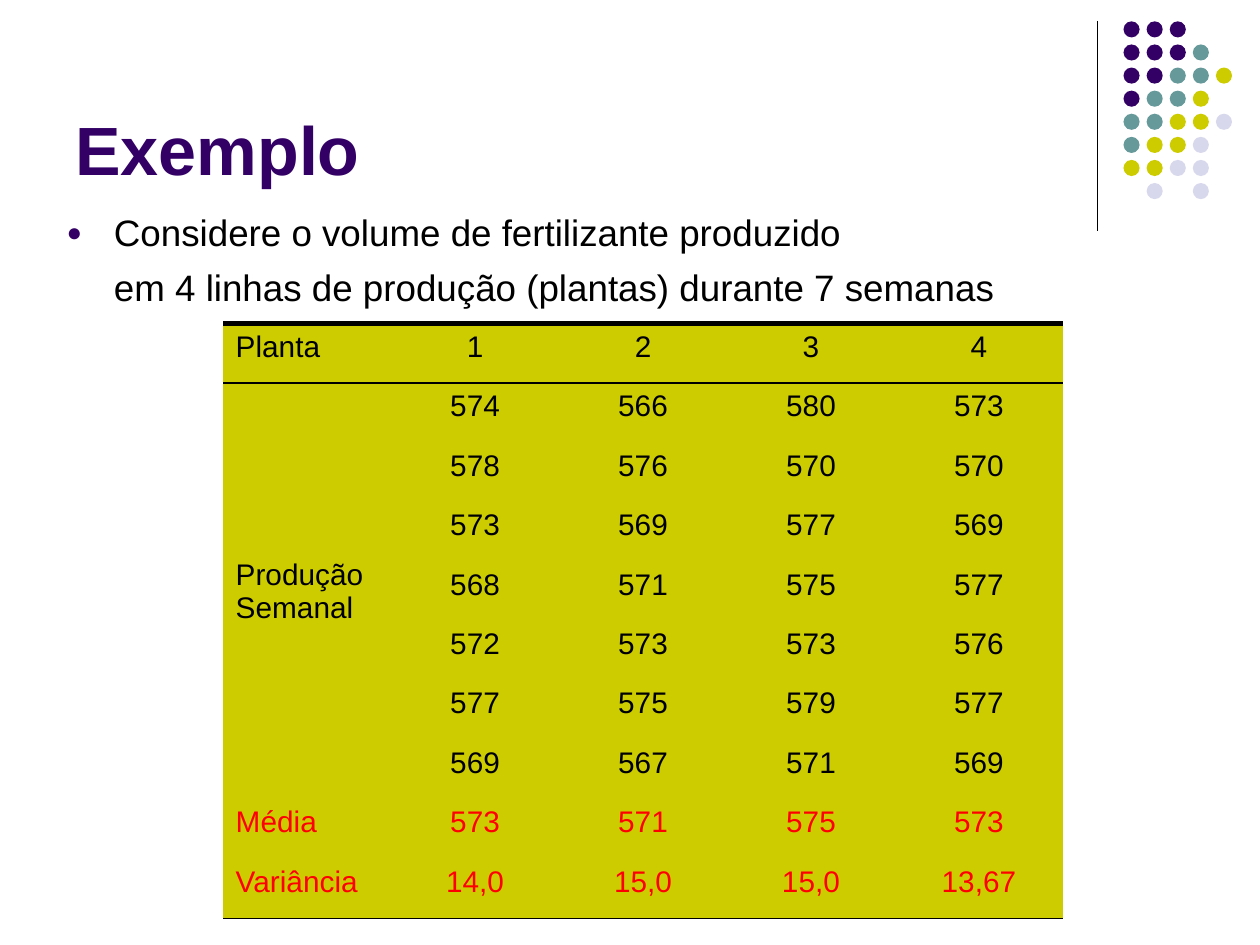
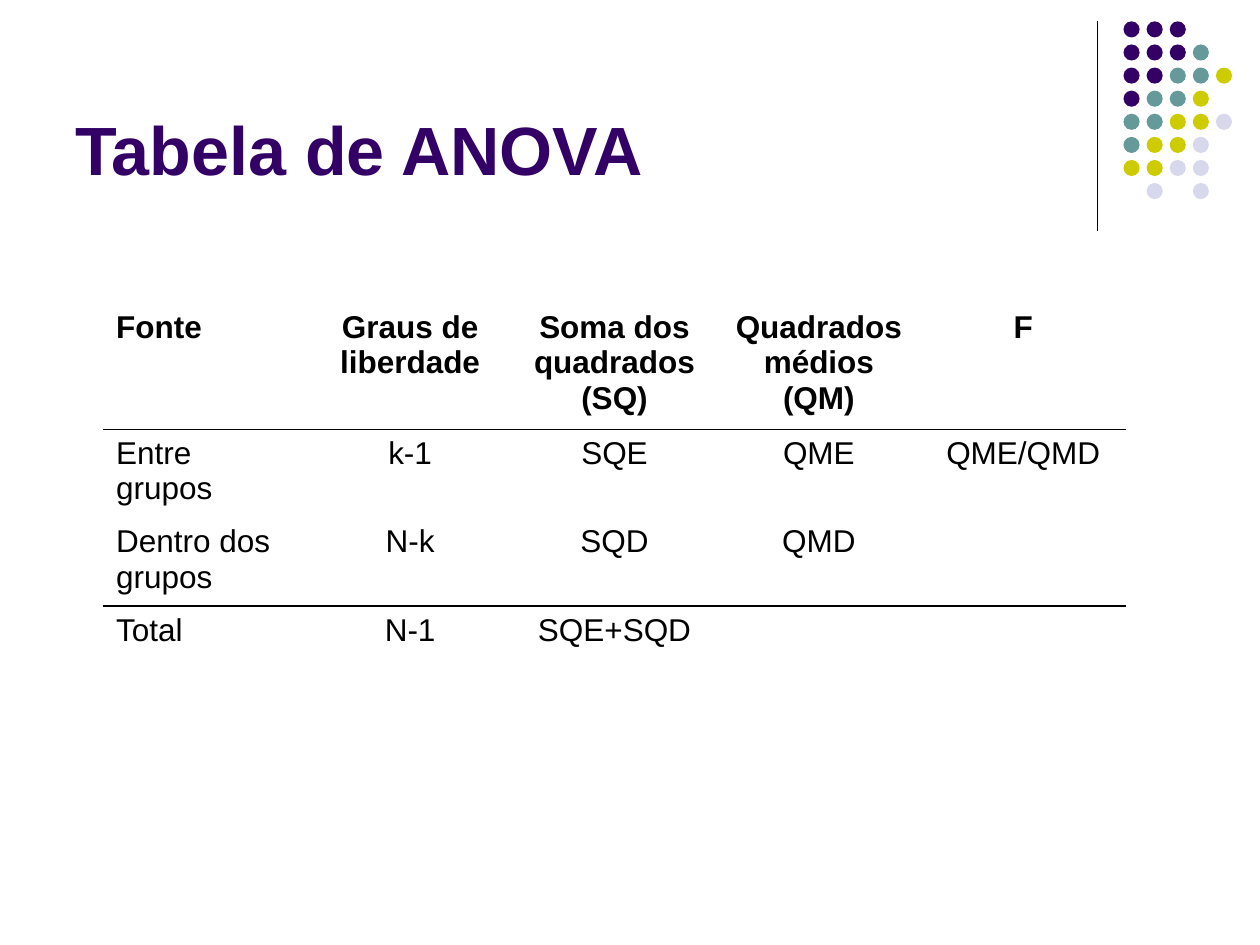
from dataclasses import dataclass

from lxml.etree import SubElement
from pptx import Presentation
from pptx.dml.color import RGBColor
from pptx.enum.shapes import MSO_CONNECTOR as Connector, MSO_SHAPE as Preset
from pptx.enum.text import MSO_ANCHOR as Anchor, PP_ALIGN as Align
from pptx.oxml.ns import qn
from pptx.slide import Slide
from pptx.table import Table, _Cell as Cell
from pptx.text.text import TextFrame
from pptx.util import Pt

PURPLE = RGBColor(0x33, 0x00, 0x66)
TEAL = RGBColor(0x66, 0x99, 0x99)
OLIVE = RGBColor(0xCC, 0xCC, 0x00)
LILAC = RGBColor(0xD8, 0xD8, 0xEC)
BLACK = RGBColor(0, 0, 0)
WHITE = RGBColor(255, 255, 255)
RED = RGBColor(255, 0, 0)
FONT = "Arial"

DOT_COLORS = {"P": PURPLE, "T": TEAL, "O": OLIVE, "L": LILAC}
DOT_ROWS = ["PPP", "PPPT", "PPTTO", "PTTO", "TTOOL", "TOOL", "OOLL", " L L"]
DOT_LEFT, DOT_TOP, DOT_PITCH, DOT_SIZE = 642, 12.2, 13.2, 9.2

PLANT_ROWS = [
    ["Planta", "1", "2", "3", "4"],
    ["Produção Semanal", "574", "566", "580", "573"],
    ["", "578", "576", "570", "570"],
    ["", "573", "569", "577", "569"],
    ["", "568", "571", "575", "577"],
    ["", "572", "573", "573", "576"],
    ["", "577", "575", "579", "577"],
    ["", "569", "567", "571", "569"],
    ["Média", "573", "571", "575", "573"],
    ["Variância", "14,0", "15,0", "15,0", "13,67"],
]
ANOVA_ROWS = [
    ["Fonte", "Graus de liberdade", "Soma dos quadrados\n(SQ)", "Quadrados médios\n(QM)", "F"],
    ["Entre grupos", "k-1", "SQE", "QME", "QME/QMD"],
    ["Dentro dos grupos", "N-k", "SQD", "QMD", ""],
    ["Total", "N-1", "SQE+SQD", "", ""],
]


@dataclass(frozen=True)
class Border:
    """One cell edge; a width of zero leaves it undrawn."""
    width: float = 0
    color: RGBColor = BLACK


@dataclass(frozen=True)
class RowStyle:
    """Look shared by the cells of one table row."""
    height: float
    top: Border = Border()
    bottom: Border = Border()
    side: Border = Border()
    color: RGBColor = BLACK
    bold: bool = False


@dataclass(frozen=True)
class Grid:
    """Placement and contents of a table with equal columns."""
    left: float
    top: float
    column_width: float
    size: float
    rows: list[list[str]]
    styles: list[RowStyle]
    fill: RGBColor | None = None


def style_text(frame: TextFrame, size: float, color: RGBColor, bold: bool = False) -> None:
    """Give every run the same font."""
    for para in frame.paragraphs:
        for span in para.runs:
            span.font.name = FONT
            span.font.size = Pt(size)
            span.font.bold = bold
            span.font.color.rgb = color


def add_text(page: Slide, left: float, top: float, width: float, height: float, text: str) -> TextFrame:
    """Add a wrapping text box."""
    box = page.shapes.add_textbox(Pt(left), Pt(top), Pt(width), Pt(height))
    box.text_frame.word_wrap = True
    box.text_frame.text = text
    return box.text_frame


def add_ornament(page: Slide) -> None:
    """Draw the corner rule and the grouped dots."""
    rule = page.shapes.add_connector(Connector.STRAIGHT, Pt(627), Pt(12), Pt(627), Pt(132))
    rule.line.color.rgb = BLACK
    rule.line.width = Pt(0.75)
    SubElement(rule._element.spPr, qn("a:effectLst"))
    dots = page.shapes.add_group_shape()
    for row, letters in enumerate(DOT_ROWS):
        for column, letter in enumerate(letters):
            if letter == " ":
                continue
            dot = dots.shapes.add_shape(
                Preset.OVAL, Pt(DOT_LEFT + column * DOT_PITCH), Pt(DOT_TOP + row * DOT_PITCH),
                Pt(DOT_SIZE), Pt(DOT_SIZE))
            dot.shadow.inherit = False
            dot.fill.solid()
            dot.fill.fore_color.rgb = DOT_COLORS[letter]
            dot.line.fill.background()


def add_page(deck: Presentation, title: str) -> Slide:
    """Add a blank page with the ornament and a title."""
    page = deck.slides.add_slide(deck.slide_layouts[6])
    add_ornament(page)
    frame = add_text(page, 36, 9.4, 594, 102.2, title)
    frame.vertical_anchor = Anchor.BOTTOM
    style_text(frame, 39, PURPLE, True)
    return page


def add_statement(page: Slide) -> None:
    """Add the two body lines, the first one bulleted."""
    frame = add_text(page, 31, 116.6, 648, 70,
                     "Considere o volume de fertilizante produzido\n"
                     "em 4 linhas de produção (plantas) durante 7 semanas")
    style_text(frame, 21, BLACK)
    for para in frame.paragraphs:
        para.space_before = Pt(6)
        para._p.get_or_add_pPr().set("marL", str(Pt(27)))
    properties = frame.paragraphs[0]._p.get_or_add_pPr()
    properties.set("indent", str(Pt(-27)))
    color = SubElement(properties, qn("a:buClr"))
    SubElement(color, qn("a:srgbClr"), val=str(PURPLE))
    SubElement(properties, qn("a:buSzPct"), val="70000")
    SubElement(properties, qn("a:buFont"), typeface=FONT)
    SubElement(properties, qn("a:buChar"), char="●")


def set_borders(cell: Cell, style: RowStyle) -> None:
    """Write the four edges of a cell ahead of its fill."""
    properties = cell._tc.get_or_add_tcPr()
    edges = {"a:lnL": style.side, "a:lnR": style.side, "a:lnT": style.top, "a:lnB": style.bottom}
    for position, (tag, border) in enumerate(edges.items()):
        line = SubElement(properties, qn(tag), w=str(Pt(border.width)))
        if border.width:
            paint = SubElement(line, qn("a:solidFill"))
            SubElement(paint, qn("a:srgbClr"), val=str(border.color))
        else:
            SubElement(line, qn("a:noFill"))
        properties.insert(position, line)


def add_grid(page: Slide, grid: Grid) -> Table:
    """Draw a table, its first column left-aligned and the others centred."""
    columns = len(grid.rows[0])
    table = page.shapes.add_table(
        len(grid.rows), columns, Pt(grid.left), Pt(grid.top), Pt(columns * grid.column_width),
        Pt(sum(style.height for style in grid.styles))).table
    table.first_row = table.horz_banding = False
    for column in table.columns:
        column.width = Pt(grid.column_width)
    for row, (texts, style) in enumerate(zip(grid.rows, grid.styles)):
        table.rows[row].height = Pt(style.height)
        for column, text in enumerate(texts):
            cell = table.cell(row, column)
            cell.text_frame.text = text
            style_text(cell.text_frame, grid.size, style.color, style.bold)
            for para in cell.text_frame.paragraphs:
                para.alignment = Align.CENTER if column else Align.LEFT
            if grid.fill is None:
                cell.fill.background()
            else:
                cell.fill.solid()
                cell.fill.fore_color.rgb = grid.fill
            set_borders(cell, style)
    return table


def build_example(deck: Presentation) -> None:
    """Build the fertilizer production page."""
    page = add_page(deck, "Exemplo")
    add_statement(page)
    thin, height = Border(1), 34
    styles = [
        RowStyle(height, top=Border(3), bottom=thin),
        RowStyle(height, top=thin),
        *[RowStyle(height)] * 6,
        RowStyle(height, color=RED),
        RowStyle(height, bottom=thin, color=RED),
    ]
    table = add_grid(page, Grid(127.5, 185, 96, 17, PLANT_ROWS, styles, OLIVE))
    weekly = table.cell(1, 0)
    weekly.merge(table.cell(7, 0))
    weekly.vertical_anchor = Anchor.MIDDLE


def build_anova(deck: Presentation) -> None:
    """Build the analysis of variance page."""
    page = add_page(deck, "Tabela de ANOVA")
    black, white = Border(1), Border(1, WHITE)
    styles = [
        RowStyle(67.8, white, black, white, bold=True),
        RowStyle(47.6, black, white, white),
        RowStyle(47.6, white, black, white),
        RowStyle(29.5, black, white, white),
    ]
    add_grid(page, Grid(59.2, 173.5, 116.8, 18, ANOVA_ROWS, styles))


def main() -> None:
    """Build and save the deck."""
    deck = Presentation()
    deck.slide_width, deck.slide_height = Pt(720), Pt(540)
    build_example(deck)
    build_anova(deck)
    deck.save("out.pptx")


if __name__ == "__main__":
    main()
